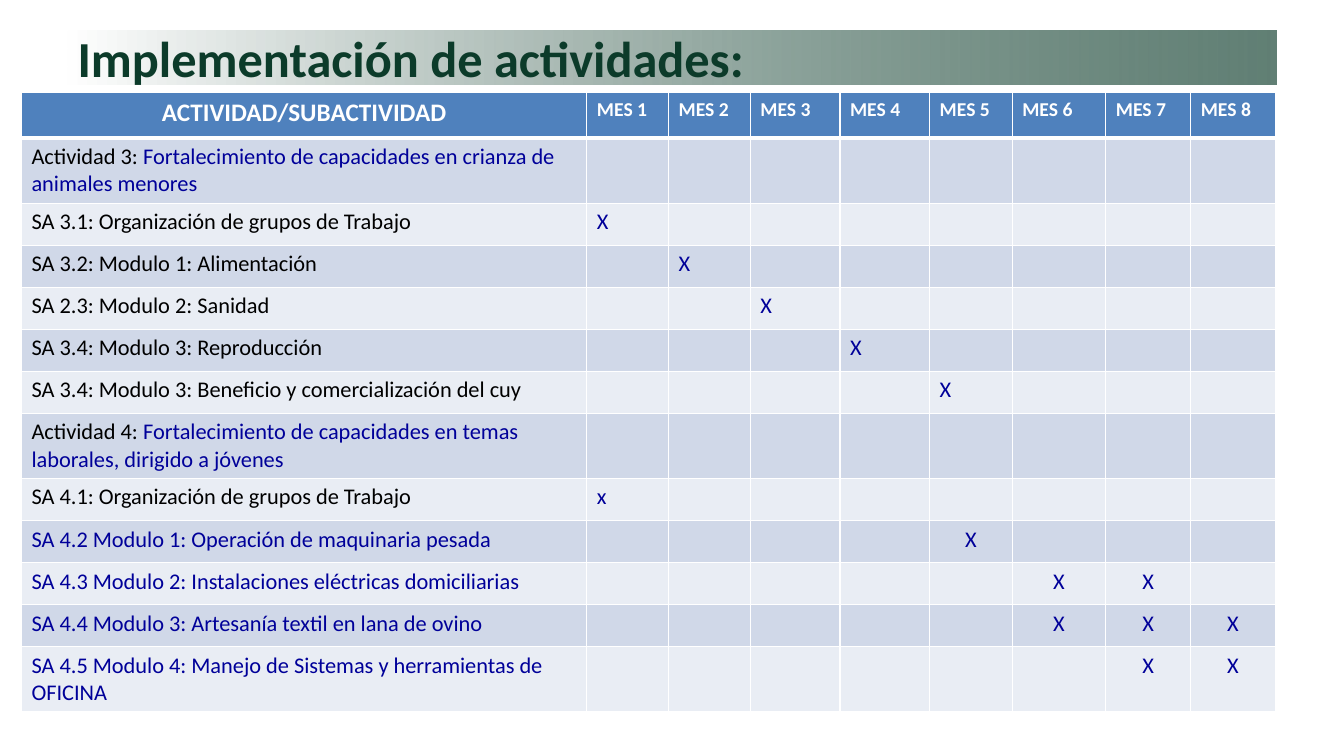
from lxml import etree
from pptx import Presentation
from pptx import util as u
from pptx.dml.color import RGBColor
from pptx.enum import text
from pptx.oxml import ns

WHITE = RGBColor(0xFF, 0xFF, 0xFF)
BLACK = RGBColor(0x00, 0x00, 0x00)
GREEN = RGBColor(0x0C, 0x3B, 0x2A)
NAVY = RGBColor(0x00, 0x00, 0x99)
HEADER_BLUE = RGBColor(0x4F, 0x81, 0xBD)
BANDS = (RGBColor(0xD0, 0xD8, 0xE8), RGBColor(0xE9, 0xED, 0xF4))
FONT = "Calibri"
LEFT, CENTER = text.PP_ALIGN.LEFT, text.PP_ALIGN.CENTER

COLUMN_WIDTHS = (14.25, 2.06, 2.06, 2.26, 2.26, 2.08, 2.36, 2.14, 2.13)
HEADER_HEIGHT, ROW_HEIGHT, TALL_ROW_HEIGHT = 1.14, 1.06, 1.64

# Black text, blue text, mark, months marked, mark alignment, row height
ACTIVITIES = (
    ("Actividad 3: ", "Fortalecimiento de capacidades en crianza de animales menores",
     "", (), LEFT, TALL_ROW_HEIGHT),
    ("SA 3.1: Organización de grupos de Trabajo", "", "X", (1,), LEFT, ROW_HEIGHT),
    ("SA 3.2: Modulo 1: Alimentación", "", "X", (2,), LEFT, ROW_HEIGHT),
    ("SA 2.3: Modulo 2: Sanidad", "", "X", (3,), LEFT, ROW_HEIGHT),
    ("SA 3.4: Modulo 3: Reproducción", "", "X", (4,), LEFT, ROW_HEIGHT),
    ("SA 3.4: Modulo 3: Beneficio y comercialización del cuy", "",
     "X", (5,), LEFT, ROW_HEIGHT),
    ("Actividad 4: ", "Fortalecimiento de capacidades en temas laborales, dirigido a jóvenes",
     "", (), LEFT, TALL_ROW_HEIGHT),
    ("SA 4.1: Organización de grupos de Trabajo", "", "x", (1,), LEFT, ROW_HEIGHT),
    ("", "SA 4.2 Modulo 1: Operación de maquinaria pesada", "X", (5,), CENTER, ROW_HEIGHT),
    ("", "SA 4.3 Modulo 2: Instalaciones eléctricas domiciliarias",
     "X", (6, 7), CENTER, ROW_HEIGHT),
    ("", "SA 4.4 Modulo 3: Artesanía textil en lana de ovino",
     "X", (6, 7, 8), CENTER, ROW_HEIGHT),
    ("", "SA 4.5 Modulo 4: Manejo de Sistemas y herramientas de OFICINA",
     "X", (7, 8), CENTER, TALL_ROW_HEIGHT),
)


def add_run(paragraph, words, size, color, bold=False):
    """Add one formatted run to a paragraph."""
    run = paragraph.add_run()
    run.text = words
    run.font.name = FONT
    run.font.size = u.Pt(size)
    run.font.bold = bold
    run.font.color.rgb = color


def format_cell(cell, color, top=1, bottom=1):
    """Give a cell its fill and white borders, with widths in points."""
    properties = cell._tc.get_or_add_tcPr()
    for side, width in (("lnL", 1), ("lnR", 1), ("lnT", top), ("lnB", bottom)):
        line = etree.SubElement(properties, ns.qn(f"a:{side}"), w=str(u.Pt(width)))
        solid = etree.SubElement(line, ns.qn("a:solidFill"))
        etree.SubElement(solid, ns.qn("a:srgbClr"), val=str(WHITE))
    cell.fill.solid()
    cell.fill.fore_color.rgb = color


def build_title(slide, left, top, width, height):
    """Place the title on a band fading from white to translucent green."""
    title = slide.shapes.title
    title.left, title.top, title.width, title.height = map(u.Cm, (left, top, width, height))
    title.fill.gradient()
    title.fill.gradient_angle = 0
    for stop, color in zip(title.fill.gradient_stops, (WHITE, GREEN)):
        stop.color.rgb = color
    green_stop = list(title.fill._fill._gradFill.iter(ns.qn("a:srgbClr")))[-1]
    etree.SubElement(green_stop, ns.qn("a:alpha"), val="65000")
    frame = title.text_frame
    frame.word_wrap = True
    frame.auto_size = text.MSO_AUTO_SIZE.NONE
    frame.vertical_anchor = text.MSO_ANCHOR.MIDDLE
    paragraph = frame.paragraphs[0]
    paragraph.alignment = LEFT
    add_run(paragraph, "Implementación de actividades:", 36, GREEN, True)


def build_schedule(slide, left, top):
    """Place the schedule of activities by month."""
    heights = [HEADER_HEIGHT] + [activity[-1] for activity in ACTIVITIES]
    table = slide.shapes.add_table(
        len(heights), len(COLUMN_WIDTHS), u.Cm(left), u.Cm(top),
        u.Cm(sum(COLUMN_WIDTHS)), u.Cm(sum(heights))).table
    for column, width in zip(table.columns, COLUMN_WIDTHS):
        column.width = u.Cm(width)
    for row, height in zip(table.rows, heights):
        row.height = u.Cm(height)

    for month, cell in enumerate(table.rows[0].cells):
        format_cell(cell, HEADER_BLUE, bottom=3)
        paragraph = cell.text_frame.paragraphs[0]
        paragraph.alignment = LEFT if month else CENTER
        words, size = (f"MES {month}", 14) if month else ("ACTIVIDAD/SUBACTIVIDAD", 18)
        add_run(paragraph, words, size, WHITE, True)

    for index, activity in enumerate(ACTIVITIES):
        black_text, blue_text, mark, months, alignment, _ = activity
        cells = list(table.rows[index + 1].cells)
        for cell in cells:
            format_cell(cell, BANDS[index % 2], top=1 if index else 3)
        for words, color in ((black_text, BLACK), (blue_text, NAVY)):
            if words:
                add_run(cells[0].text_frame.paragraphs[0], words, 16, color)
        for month in months:
            paragraph = cells[month].text_frame.paragraphs[0]
            paragraph.alignment = alignment
            add_run(paragraph, mark, 16, NAVY)


def main():
    """Build and save the slide."""
    presentation = Presentation()
    presentation.slide_width, presentation.slide_height = u.Cm(33.87), u.Cm(19.05)
    slide = presentation.slides.add_slide(presentation.slide_layouts[5])
    build_title(slide, 1.7, 0.76, 30.48, 1.38)
    build_schedule(slide, 0.54, 2.34)
    presentation.save("out.pptx")


main()
